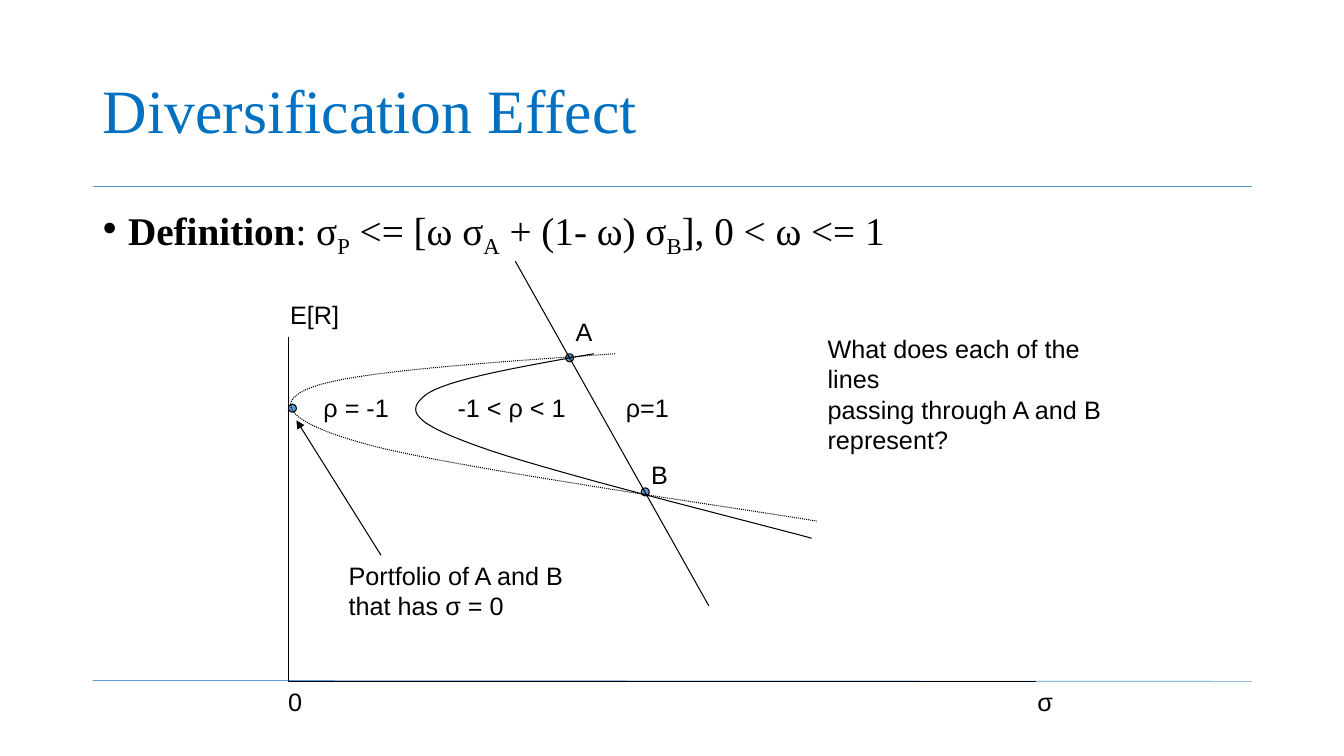
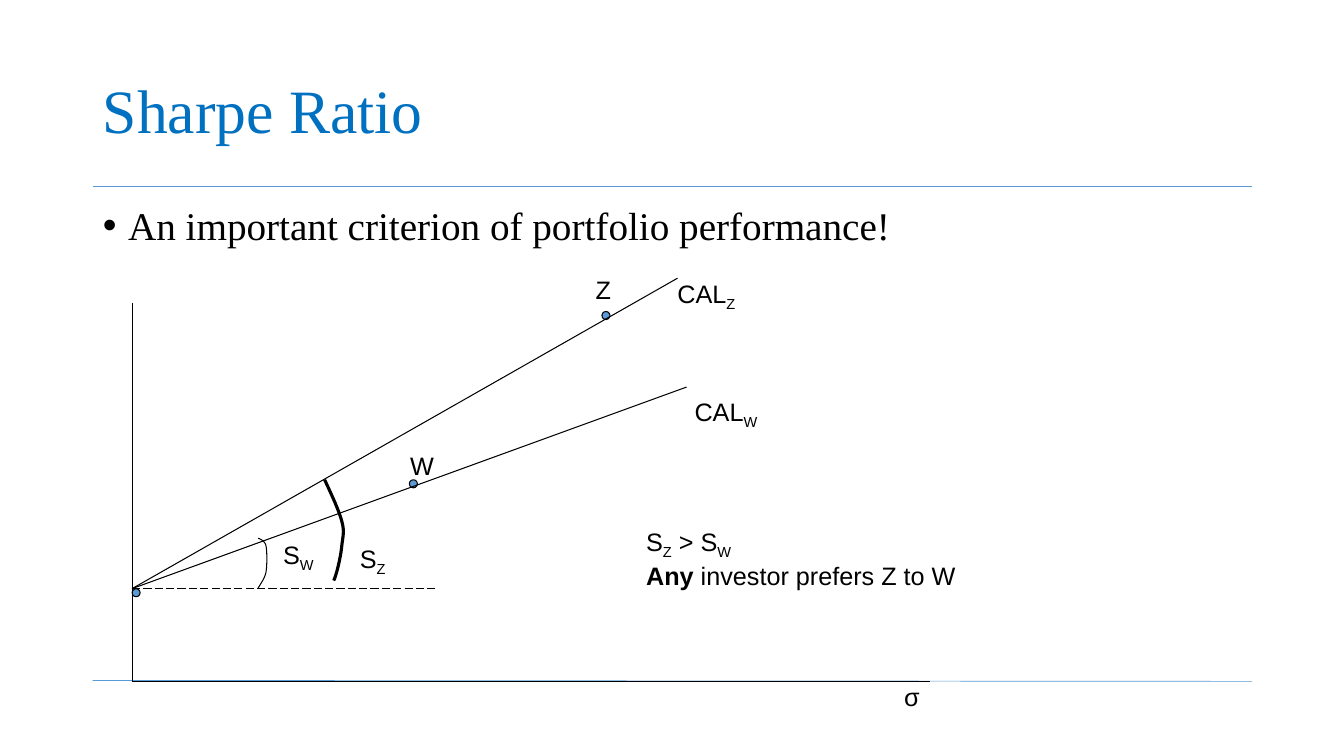
"""Build two portfolio-theory slides: the diversification effect and the Sharpe ratio."""
from dataclasses import dataclass

from lxml.etree import SubElement
from pptx import Presentation
from pptx.dml.color import RGBColor
from pptx.enum.dml import MSO_LINE_DASH_STYLE as Dash
from pptx.enum.shapes import MSO_CONNECTOR, MSO_SHAPE
from pptx.enum.text import MSO_ANCHOR, MSO_AUTO_SIZE, PP_ALIGN
from pptx.oxml.ns import qn
from pptx.util import Inches, Pt


@dataclass(frozen=True)
class Theme:
    title_blue: RGBColor = RGBColor(0x00, 0x70, 0xC0)
    accent: RGBColor = RGBColor(0x5B, 0x9B, 0xD5)
    ink: RGBColor = RGBColor(0, 0, 0)
    serif: str = "Times New Roman"
    sans: str = "Arial"
    title_size: int = 44
    body_size: int = 28
    label_size: int = 18
    rule: float = 0.5
    thin: float = 0.75
    thick: float = 2.25


theme = Theme()


def write(frame, text, font=theme.sans, size=theme.label_size, color=theme.ink,
          spacing=None, before=None, hanging=None):
    """Fill a frame; "|" parts the runs, "_" opens a subscript and "*" a bold run."""
    for number, line in enumerate(text.split("\n")):
        paragraph = frame.add_paragraph() if number else frame.paragraphs[0]
        paragraph.alignment = PP_ALIGN.LEFT
        paragraph.line_spacing = spacing
        paragraph.space_before = before
        if hanging:
            properties = paragraph._p.get_or_add_pPr()
            properties.set("marL", str(hanging))
            properties.set("indent", str(-hanging))
        for piece in line.split("|"):
            run = paragraph.add_run()
            run.text = piece.lstrip("_*")
            run.font.name, run.font.size = font, Pt(size)
            run.font.color.rgb = color
            if piece.startswith("*"):
                run.font.bold = True
            if piece.startswith("_"):
                run.font._element.set("baseline", "-25000")


def stroke(shape, color=theme.ink, width=theme.thin, dash=None, arrow=False):
    """Set the outline of a shape or connector and drop its shadow."""
    shape.line.color.rgb = color
    shape.line.width = Pt(width)
    if dash:
        shape.line.dash_style = dash
    properties = shape._element.spPr
    if arrow:
        SubElement(properties.find(qn("a:ln")), qn("a:tailEnd"), type="triangle")
    SubElement(properties, qn("a:effectLst"))


axis_y, dot_size, curve_steps = 6.76, 0.08, 16
margin, content_width = 0.92, 11.5

diversification = {
    "title": "Diversification Effect",
    "body": "*Definition|: σ|_P| <= [ω σ|_A| + (1- ω) σ|_B|], 0 < ω <= 1",
    "dots": [(6.36, 4.84), (5.61, 3.51), (2.86, 4.01)],
    "lines": [
        ((2.86, 3.34, 2.86, axis_y), {}),
        ((2.86, axis_y, 10.28, axis_y), {}),
        ((5.11, 2.59, 7.03, 6.01), {}),
        ((3.78, 5.51, 2.94, 4.17), {"arrow": True}),
    ],
    "curves": [
        ([(6.1, 3.51), (4.8, 3.6), (3.5, 3.69), (3.1, 3.84), (2.69, 3.99),
          (2.85, 4.2), (3.68, 4.42), (4.51, 4.64), (7.37, 5.05), (8.1, 5.17)],
         {"dash": Dash.ROUND_DOT}),
        ([(5.89, 3.51), (5.15, 3.64), (4.41, 3.77), (4.22, 3.92), (4.03, 4.07),
          (4.08, 4.19), (4.72, 4.42), (5.36, 4.66), (7.5, 5.19), (8.05, 5.34)], {}),
    ],
    "labels": [
        (10.19, axis_y, 0.36, "σ"),
        (2.78, 2.92, 0.69, "E[R]"),
        (5.61, 3.09, 0.37, "A"),
        (6.36, 4.51, 0.37, "B"),
        (6.11, 3.84, 0.63, "ρ=1"),
        (4.44, 3.84, 1.27, "-1 < ρ < 1"),
        (3.11, 3.84, 0.85, "ρ = -1"),
        (8.11, 3.26, 3.28,
         "What does each of the lines\npassing through A and B\nrepresent?"),
        (2.76, axis_y, 0.34, "0"),
        (3.36, 5.51, 2.35, "Portfolio of A and B\nthat has σ = 0"),
    ],
}

sharpe = {
    "title": "Sharpe Ratio",
    "body": "An important criterion of portfolio performance!",
    "dots": [(5.97, 3.09), (4.06, 4.76), (1.31, 5.84)],
    "lines": [
        ((1.31, 3.01, 1.31, axis_y), {}),
        ((1.31, axis_y, 9.22, axis_y), {}),
        ((1.31, 5.84, 6.72, 2.76), {}),
        ((1.31, 5.84, 6.81, 3.84), {}),
        ((1.31, 5.84, 4.31, 5.84), {"dash": Dash.LONG_DASH}),
    ],
    "curves": [
        ([(2.56, 5.34), (2.59, 5.35), (2.63, 5.37), (2.64, 5.42), (2.65, 5.48),
          (2.65, 5.6), (2.64, 5.67), (2.63, 5.74), (2.57, 5.81), (2.56, 5.84)], {}),
        ([(3.22, 4.76), (3.29, 4.91), (3.36, 5.06), (3.39, 5.17), (3.42, 5.28),
          (3.4, 5.32), (3.39, 5.42), (3.38, 5.52), (3.34, 5.7), (3.31, 5.76)],
         {"width": theme.thick}),
    ],
    "labels": [
        (8.87, 6.71, 0.36, "σ"),
        (5.81, 2.67, 0.35, "Z"),
        (3.97, 4.42, 0.44, "W"),
        (6.62, 2.71, 0.79, "CAL|_Z"),
        (6.79, 3.88, 0.85, "CAL|_W"),
        (2.71, 5.3, 0.53, "S|_W"),
        (3.47, 5.34, 0.47, "S|_Z"),
        (6.31, 5.17, 3.27, "S|_Z| > S|_W\n*Any| investor prefers Z to W"),
    ],
}

deck = Presentation()
deck.slide_width, deck.slide_height = Inches(13.33), Inches(7.5)
layout = deck.slide_layouts[1]
for holder, top, height in zip(layout.placeholders, (0.4, 2), (1.45, 4.76)):
    holder.left, holder.top = Inches(margin), Inches(top)
    holder.width, holder.height = Inches(content_width), Inches(height)

topics = [diversification, sharpe]
slides = [deck.slides.add_slide(layout) for _ in topics]

for number, (start_y, end_y) in enumerate([(1.85, 1.85), (6.75, 6.76)]):
    rule = slides[0].shapes.add_connector(
        MSO_CONNECTOR.STRAIGHT, Inches(margin), Inches(start_y),
        Inches(margin + content_width), Inches(end_y))
    stroke(rule, color=theme.accent, width=theme.rule)
    rule._element.nvCxnSpPr.cNvPr.id = 20 + number
    layout.shapes._spTree.append(rule._element)

for slide, topic in zip(slides, topics):
    shapes = slide.shapes
    heading = shapes.title.text_frame
    heading.vertical_anchor = MSO_ANCHOR.MIDDLE
    write(heading, topic["title"], font=theme.serif, size=theme.title_size,
          color=theme.title_blue, spacing=0.9)
    write(slide.placeholders[1].text_frame, topic["body"], font=theme.serif,
          size=theme.body_size, spacing=0.9, before=Pt(10), hanging=Inches(0.25))

    for left, top in topic["dots"]:
        dot = shapes.add_shape(MSO_SHAPE.OVAL, Inches(left), Inches(top),
                               Inches(dot_size), Inches(dot_size))
        dot.fill.solid()
        dot.fill.fore_color.rgb = theme.accent
        stroke(dot)

    for ends, look in topic["lines"]:
        segment = shapes.add_connector(MSO_CONNECTOR.STRAIGHT, *map(Inches, ends))
        stroke(segment, **look)

    for knots, look in topic["curves"]:
        points = []
        for first in range(0, len(knots) - 1, 3):
            for step in range(1, curve_steps + 1):
                t = step / curve_steps
                weights = ((1 - t) ** 3, 3 * t * (1 - t) ** 2, 3 * t * t * (1 - t), t ** 3)
                points.append(tuple(
                    Inches(sum(w * knot[axis] for w, knot in zip(weights, knots[first:first + 4])))
                    for axis in (0, 1)))
        outline = shapes.build_freeform(*map(Inches, knots[0]))
        outline.add_line_segments(points, close=False)
        curve = outline.convert_to_shape()
        curve.fill.background()
        stroke(curve, **look)

    for left, top, width, text in topic["labels"]:
        height = 0.1 + 0.3 * len(text.split("\n"))
        label = shapes.add_textbox(Inches(left), Inches(top), Inches(width), Inches(height))
        label.text_frame.word_wrap = False
        label.text_frame.auto_size = MSO_AUTO_SIZE.SHAPE_TO_FIT_TEXT
        write(label.text_frame, text)

deck.save("out.pptx")
